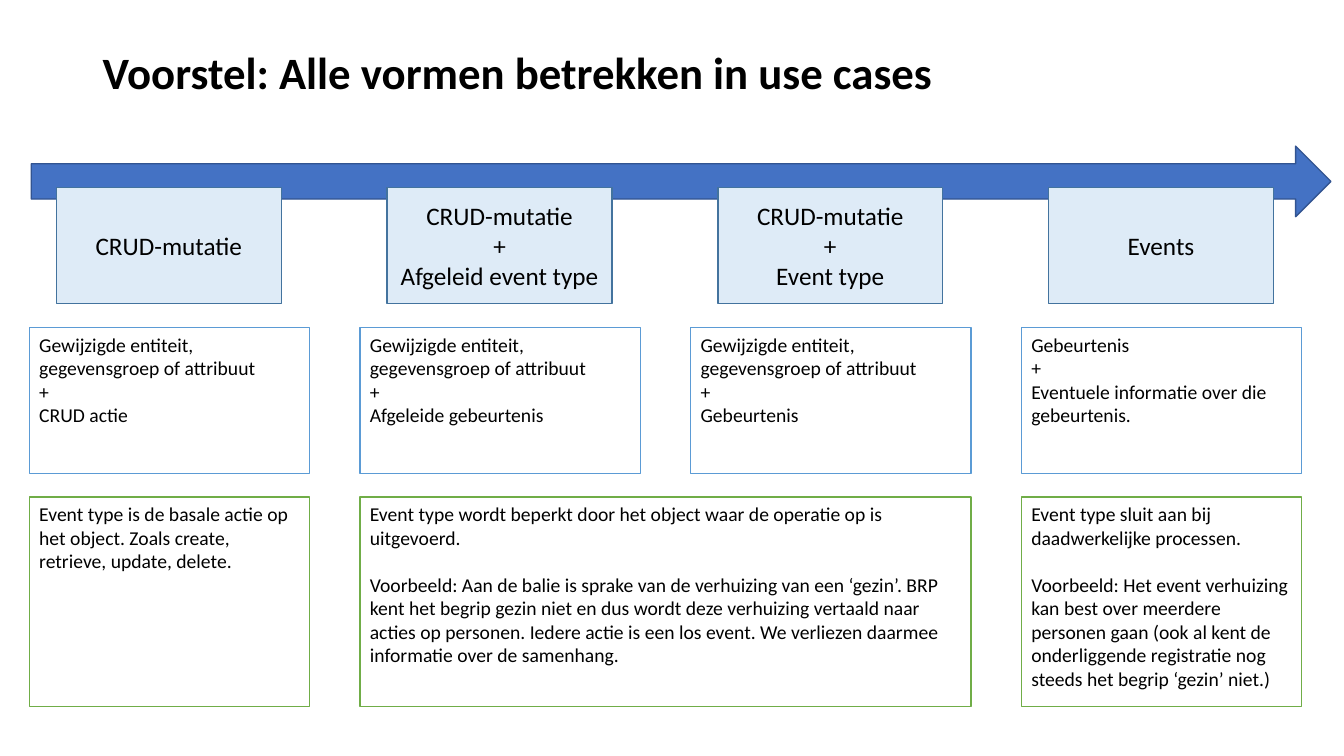
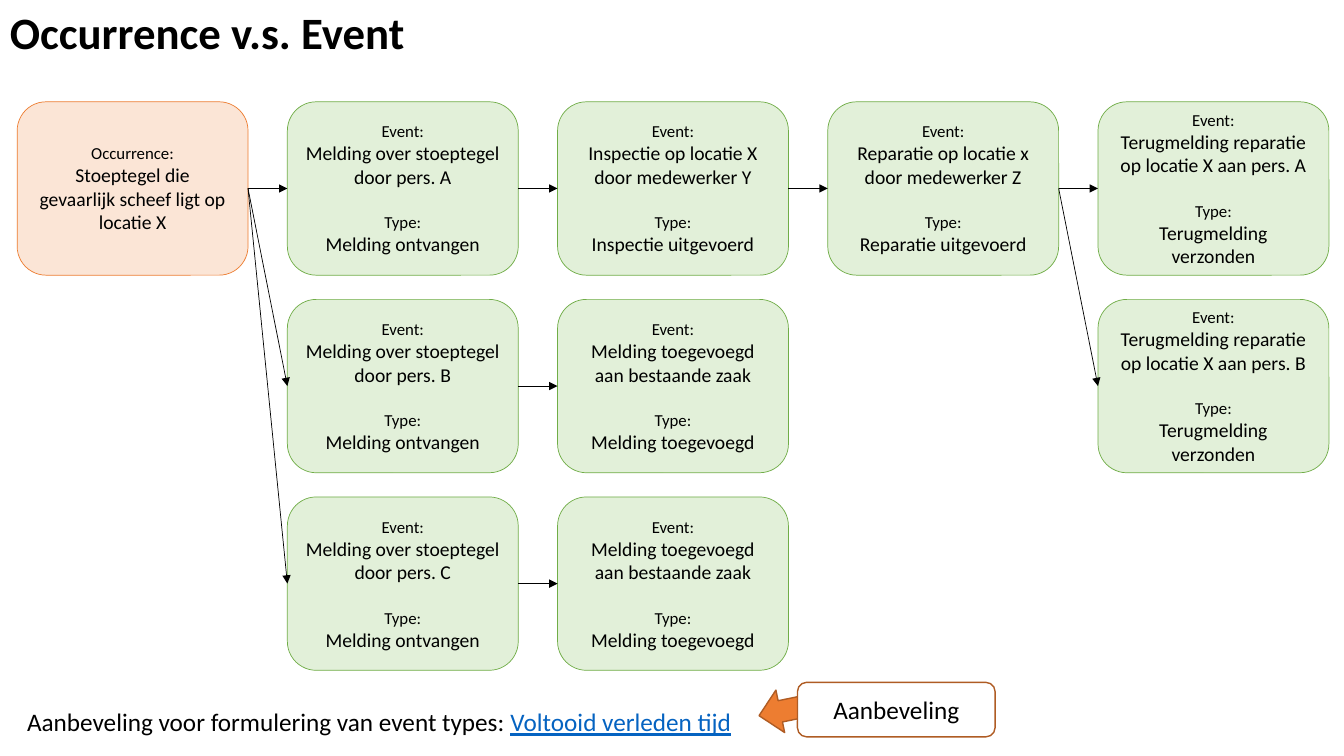
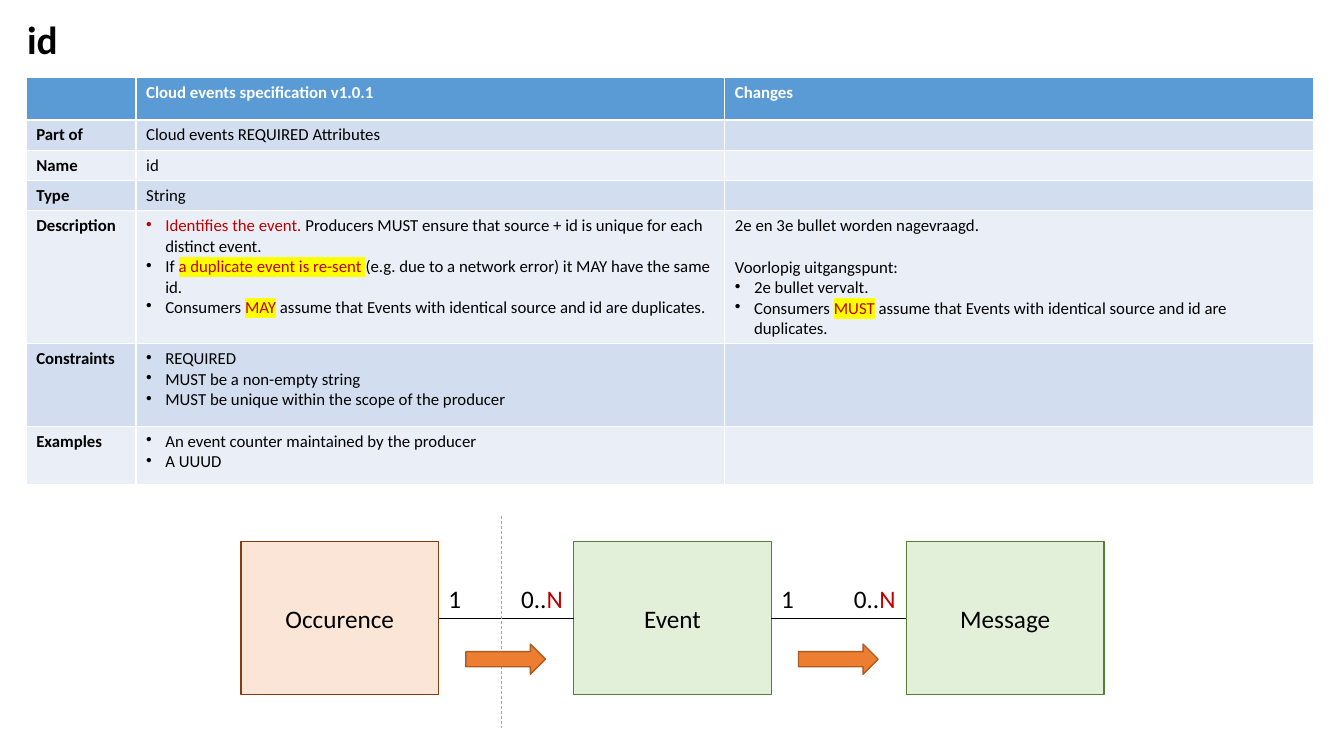
from dataclasses import dataclass
from typing import Optional

import lxml.etree
import pptx
import pptx.dml.color
import pptx.enum.dml
import pptx.enum.shapes
import pptx.enum.text
import pptx.oxml.ns
import pptx.util

SHAPES = pptx.enum.shapes.MSO_SHAPE
ALIGN = pptx.enum.text.PP_ALIGN
ANCHOR = pptx.enum.text.MSO_ANCHOR
EMU_PER_PX = 9144  # 100 px to the inch


@dataclass(frozen=True)
class Theme:
    font: str = "Calibri"
    title: int = 32
    small_title: int = 28
    large: int = 18
    body: int = 14
    small: int = 12
    black: str = "000000"
    white: str = "FFFFFF"
    red: str = "C00000"
    yellow: str = "FFFF00"
    link: str = "0563C1"
    grey: str = "A5A5A5"
    blue: str = "4472C4"
    blue_edge: str = "325491"
    sky: str = "5B9BD5"
    sky_edge: str = "43739E"
    sky_pale: str = "DEEBF7"
    band_dark: str = "D2DEEF"
    band_light: str = "EAEFF7"
    green: str = "70AD47"
    green_edge: str = "538035"
    green_pale: str = "E2F0D9"
    orange: str = "ED7D31"
    orange_edge: str = "AF5C24"
    orange_dark: str = "843C0B"
    orange_pale: str = "FBE5D6"


THEME = Theme()


@dataclass(frozen=True)
class Box:
    left: int
    top: int
    width: int
    height: int

    def inner(self, left, top, width, height):
        """A box placed relative to this one."""
        return Box(self.left + left, self.top + top, width, height)

    def emu(self):
        return [px(n) for n in (self.left, self.top, self.width, self.height)]


@dataclass(frozen=True)
class Span:
    text: str
    color: Optional[str] = None
    marked: bool = False
    underline: bool = False


@dataclass(frozen=True)
class Line:
    spans: tuple
    size: Optional[int] = None
    bullet: bool = False
    gap: int = 0


def px(count):
    return pptx.util.Emu(round(count * EMU_PER_PX))


def rgb(color):
    return pptx.dml.color.RGBColor.from_string(color)


def add_tag(parent, tag, **attributes):
    return lxml.etree.SubElement(parent, pptx.oxml.ns.qn(tag), **attributes)


def bullet(*spans):
    return Line(spans, bullet=True)


# Text

def format_run(run, span, size, color, bold):
    run.font.size = pptx.util.Pt(size)
    run.font.bold = bold
    run.font.color.rgb = rgb(span.color or color)
    if span.underline:
        run.font.underline = True
    if span.marked:
        properties = run.font._element
        highlight = add_tag(properties, "a:highlight")
        add_tag(highlight, "a:srgbClr", val=THEME.yellow)
        properties.find(pptx.oxml.ns.qn("a:solidFill")).addnext(highlight)
    run.font.name = THEME.font


def write(frame, lines, size, color=THEME.black, bold=False, align=ALIGN.LEFT,
          anchor=ANCHOR.TOP, spacing=None):
    frame.vertical_anchor = anchor
    for index, line in enumerate(lines):
        if isinstance(line, str):
            line = Line((line,))
        para = frame.add_paragraph() if index else frame.paragraphs[0]
        para.alignment = align
        if spacing:
            para.line_spacing = spacing
        if line.gap:
            para.space_before = pptx.util.Pt(line.gap)
        if line.bullet:
            properties = para._p.get_or_add_pPr()
            properties.set("marL", str(px(19)))
            properties.set("indent", str(-px(19)))
            add_tag(properties, "a:buChar", char="•")
        for span in line.spans:
            span = Span(span) if isinstance(span, str) else span
            run = para.add_run()
            run.text = span.text
            format_run(run, span, line.size or size, color, bold)


def add_text(page, box, lines, size, wrap=True, **style):
    frame = page.shapes.add_textbox(*box.emu()).text_frame
    frame.word_wrap = wrap
    write(frame, lines, size, **style)


def add_title(page, box, text, size=THEME.title):
    add_text(page, box, [text], size, bold=True, anchor=ANCHOR.MIDDLE, spacing=0.9)


# Shapes and lines

def add_shape(page, kind, box, fill, edge, weight=1):
    shape = page.shapes.add_shape(kind, *box.emu())
    shape.shadow.inherit = False
    shape.fill.solid()
    shape.fill.fore_color.rgb = rgb(fill)
    shape.line.color.rgb = rgb(edge)
    shape.line.width = pptx.util.Pt(weight)
    return shape


def add_label(page, kind, box, fill, edge, lines, size, weight=1,
              align=ALIGN.CENTER, anchor=ANCHOR.MIDDLE):
    shape = add_shape(page, kind, box, fill, edge, weight)
    shape.text_frame.word_wrap = True
    write(shape.text_frame, lines, size, align=align, anchor=anchor)
    return shape


def add_line(page, start=(0, 0), end=(0, 0), color=THEME.black, joined=None,
             dashed=False, arrow=False):
    line = page.shapes.add_connector(pptx.enum.shapes.MSO_CONNECTOR.STRAIGHT,
                                     *[px(n) for n in (*start, *end)])
    if joined:
        line.begin_connect(joined[0], 3)
        line.end_connect(joined[1], 1)
    line.line.color.rgb = rgb(color)
    line.line.width = pptx.util.Pt(0.5)
    if dashed:
        line.line.dash_style = pptx.enum.dml.MSO_LINE.DASH
    if arrow:
        add_tag(line.line._get_or_add_ln(), "a:tailEnd", type="triangle")
    add_tag(line._element.spPr, "a:effectLst")


# Slide 1: forms of events along an arrow

CHANGED = "Gewijzigde entiteit, gegevensgroep of attribuut"
FORMS = [
    (["CRUD-mutatie"], [CHANGED, "+", "CRUD actie"]),
    (["CRUD-mutatie", "+", "Afgeleid event type"],
     [CHANGED, "+", "Afgeleide gebeurtenis"]),
    (["CRUD-mutatie", "+", "Event type"], [CHANGED, "+", "Gebeurtenis"]),
    (["Events"], ["Gebeurtenis", "+", "Eventuele informatie over die gebeurtenis."]),
]
# First column, number of columns, text
REMARKS = [
    (0, 1, ["Event type is de basale actie op het object. Zoals create, retrieve, "
            "update, delete."]),
    (1, 2, ["Event type wordt beperkt door het object waar de operatie op is uitgevoerd.",
            Line(("Voorbeeld: Aan de balie is sprake van de verhuizing van een ‘gezin’. "
                  "BRP kent het begrip gezin niet en dus wordt deze verhuizing vertaald "
                  "naar acties op personen. Iedere actie is een los event. We verliezen "
                  "daarmee informatie over de samenhang.",), gap=17)]),
    (3, 1, ["Event type sluit aan bij daadwerkelijke processen.",
            Line(("Voorbeeld: Het event verhuizing kan best over meerdere personen gaan "
                  "(ook al kent de onderliggende registratie nog steeds het begrip "
                  "‘gezin’ niet.)",), gap=17)]),
]


def draw_forms(page, area):
    pitch, width = 328, 278
    add_shape(page, SHAPES.RIGHT_ARROW, area.inner(2, 0, 1289, 70),
              THEME.blue, THEME.blue_edge)
    for column, (heading, details) in enumerate(FORMS):
        left = column * pitch
        add_label(page, SHAPES.RECTANGLE, area.inner(left + 27, 41, 223, 115),
                  THEME.sky_pale, THEME.sky_edge, heading, THEME.large)
        add_label(page, SHAPES.RECTANGLE, area.inner(left, 180, width, 145),
                  THEME.white, THEME.sky, details, THEME.body,
                  align=ALIGN.LEFT, anchor=ANCHOR.TOP)
    for column, count, lines in REMARKS:
        box = area.inner(column * pitch, 348, width + (count - 1) * pitch, 208)
        add_label(page, SHAPES.RECTANGLE, box, THEME.white, THEME.green, lines,
                  THEME.body, align=ALIGN.LEFT, anchor=ANCHOR.TOP)


def build_forms(page):
    add_title(page, Box(92, 40, 1150, 69), "Voorstel: Alle vormen betrekken in use cases")
    draw_forms(page, Box(29, 145, 1291, 556))


# Slide 2: from occurrence to events

# (column, row): event and type
EVENTS = {
    (1, 0): ("Melding over stoeptegel door pers. A", "Melding ontvangen"),
    (1, 1): ("Melding over stoeptegel door pers. B", "Melding ontvangen"),
    (1, 2): ("Melding over stoeptegel door pers. C", "Melding ontvangen"),
    (2, 0): ("Inspectie op locatie X door medewerker Y", "Inspectie uitgevoerd"),
    (2, 1): ("Melding toegevoegd aan bestaande zaak", "Melding toegevoegd"),
    (2, 2): ("Melding toegevoegd aan bestaande zaak", "Melding toegevoegd"),
    (3, 0): ("Reparatie op locatie x door medewerker Z", "Reparatie uitgevoerd"),
    (4, 0): ("Terugmelding reparatie op locatie X aan pers. A", "Terugmelding verzonden"),
    (4, 1): ("Terugmelding reparatie op locatie X aan pers. B", "Terugmelding verzonden"),
}
FLOWS = [((0, 0), (1, 0)), ((0, 0), (1, 1)), ((0, 0), (1, 2)),
         ((1, 0), (2, 0)), ((1, 1), (2, 1)), ((1, 2), (2, 2)),
         ((2, 0), (3, 0)), ((3, 0), (4, 0)), ((3, 0), (4, 1))]


def draw_flow(page, area):
    def add_node(cell, fill, edge, lines):
        column, row = cell
        box = area.inner(column * 268, row * 196, 229, 172)
        return add_label(page, SHAPES.ROUNDED_RECTANGLE, box, fill, edge, lines,
                         THEME.body, weight=0.5)

    occurrence = [Line(("Occurrence:",), THEME.small),
                  "Stoeptegel die gevaarlijk scheef ligt op locatie X"]
    nodes = {(0, 0): add_node((0, 0), THEME.orange_pale, THEME.orange, occurrence)}
    for cell, (event, kind) in EVENTS.items():
        lines = [Line(("Event:",), THEME.small), event,
                 Line(("Type:",), THEME.small, gap=17), kind]
        nodes[cell] = add_node(cell, THEME.green_pale, THEME.green, lines)
    for start, end in FLOWS:
        add_line(page, joined=(nodes[start], nodes[end]), arrow=True)


def draw_advice(page, area):
    advice = Line(("Aanbeveling voor formulering van event types: ",
                   Span("Voltooid verleden tijd", THEME.link, underline=True)))
    add_text(page, area.inner(0, 19, 802, 40), [advice], THEME.large)
    arrow = add_shape(page, SHAPES.LEFT_ARROW, area.inner(735, 3, 85, 43),
                      THEME.orange, THEME.orange_edge)
    arrow.rotation = 348.4
    add_label(page, SHAPES.ROUNDED_RECTANGLE, area.inner(774, 0, 196, 54),
              THEME.white, THEME.orange_edge, ["Aanbeveling"], THEME.large)


def build_flow(page):
    add_title(page, Box(0, 0, 1150, 69), "Occurrence v.s. Event")
    draw_flow(page, Box(17, 101, 1301, 564))
    draw_advice(page, Box(17, 677, 970, 59))


# Slide 3: specification table and relation diagram

COLUMNS = [109, 584, 584]
SAME_EVENTS = " assume that Events with identical source and id are duplicates."
# Row height, then the lines of each cell
ROWS = [
    (42, [], ["Cloud events specification v1.0.1"], ["Changes"]),
    (30, ["Part of"], ["Cloud events REQUIRED Attributes"], []),
    (30, ["Name"], ["id"], []),
    (30, ["Type"], ["String"], []),
    (132, ["Description"],
     [bullet(Span("Identifies the event. ", THEME.red),
             "Producers MUST ensure that source + id is unique for each distinct event."),
      bullet("If ", Span("a duplicate event is re-sent ", THEME.red, marked=True),
             "(e.g. due to a network error) it MAY have the same id."),
      bullet("Consumers ", Span("MAY", THEME.red, marked=True), SAME_EVENTS)],
     ["2e en 3e bullet worden nagevraagd.",
      Line(("Voorlopig uitgangspunt:",), gap=15),
      bullet("2e bullet vervalt."),
      bullet("Consumers ", Span("MUST", THEME.red, marked=True), SAME_EVENTS)]),
    (82, ["Constraints"],
     [bullet("REQUIRED"), bullet("MUST be a non-empty string"),
      bullet("MUST be unique within the scope of the producer")], []),
    (58, ["Examples"],
     [bullet("An event counter maintained by the producer"), bullet("A UUUD")], []),
]
ENTITIES = [("Occurence", THEME.orange_pale, THEME.orange_dark),
            ("Event", THEME.green_pale, THEME.green_edge),
            ("Message", THEME.green_pale, THEME.green_edge)]


def draw_table(page, area):
    table = page.shapes.add_table(len(ROWS), len(COLUMNS), *area.emu()).table
    for column, width in zip(table.columns, COLUMNS):
        column.width = px(width)
    for row, (height, *cells) in enumerate(ROWS):
        table.rows[row].height = px(height)
        band = THEME.band_dark if row % 2 else THEME.band_light
        for column, lines in enumerate(cells):
            cell = table.cell(row, column)
            cell.fill.solid()
            cell.fill.fore_color.rgb = rgb(band if row else THEME.sky)
            write(cell.text_frame, lines, THEME.small,
                  color=THEME.black if row else THEME.white,
                  bold=row == 0 or column == 0)
            if not lines:  # keeps an empty row as low as its text rows
                add_tag(cell.text_frame.paragraphs[0]._p, "a:endParaRPr",
                        sz=str(THEME.small * 100))


def draw_relations(page, area):
    pitch, width, height, top = 330, 196, 152, 25
    gap = pitch - width
    middle = top + height // 2
    for index, (name, fill, edge) in enumerate(ENTITIES):
        add_label(page, SHAPES.RECTANGLE, area.inner(index * pitch, top, width, height),
                  fill, edge, [name], THEME.large)
    for index in range(len(ENTITIES) - 1):
        link = area.inner(index * pitch + width, middle, gap, 0)
        add_line(page, (link.left, link.top), (link.left + gap, link.top))
        add_text(page, link.inner(0, -39, 33, 40), ["1"], THEME.large, wrap=False)
        add_text(page, link.inner(gap - 62, -39, 62, 40),
                 [Line(("0..", Span("N", THEME.red)))], THEME.large, wrap=False)
    # Divider between the real world and the registered events
    divider = area.left + 258
    add_line(page, (divider, area.top), (divider, area.top + area.height),
             THEME.grey, dashed=True)
    for index in range(len(ENTITIES) - 1):
        left = index * pitch + width + (gap - 79) // 2
        add_shape(page, SHAPES.RIGHT_ARROW, area.inner(left, 127, 79, 30),
                  THEME.orange, THEME.orange_edge)


def build_specification(page):
    add_title(page, Box(17, 7, 595, 69), "id", THEME.small_title)
    draw_table(page, Box(26, 77, sum(COLUMNS), sum(row[0] for row in ROWS)))
    draw_relations(page, Box(239, 512, 856, 210))


def main():
    deck = pptx.Presentation()
    deck.slide_width, deck.slide_height = px(1333), px(750)
    for build in (build_forms, build_flow, build_specification):
        build(deck.slides.add_slide(deck.slide_layouts[6]))
    deck.save("out.pptx")


if __name__ == "__main__":
    main()
